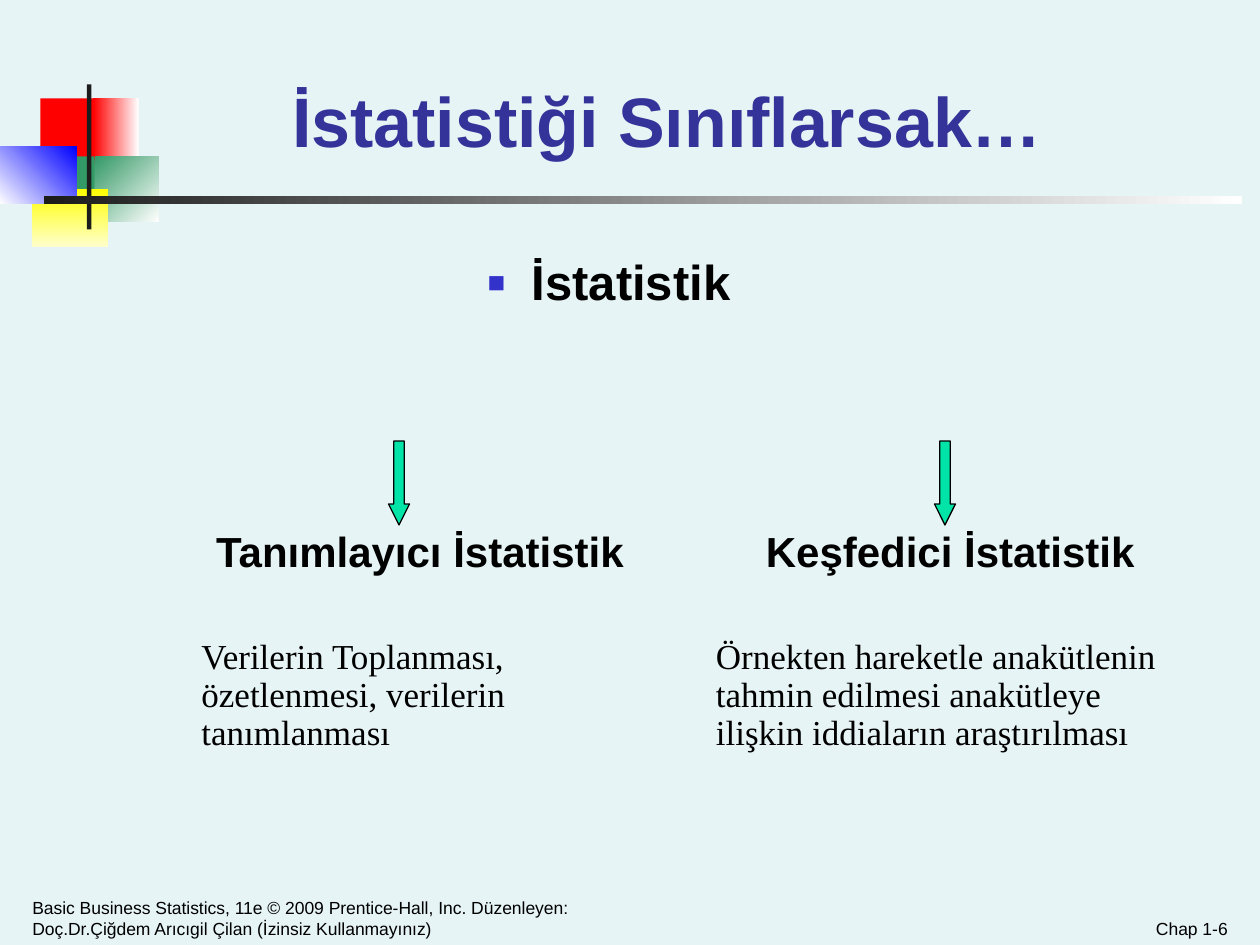
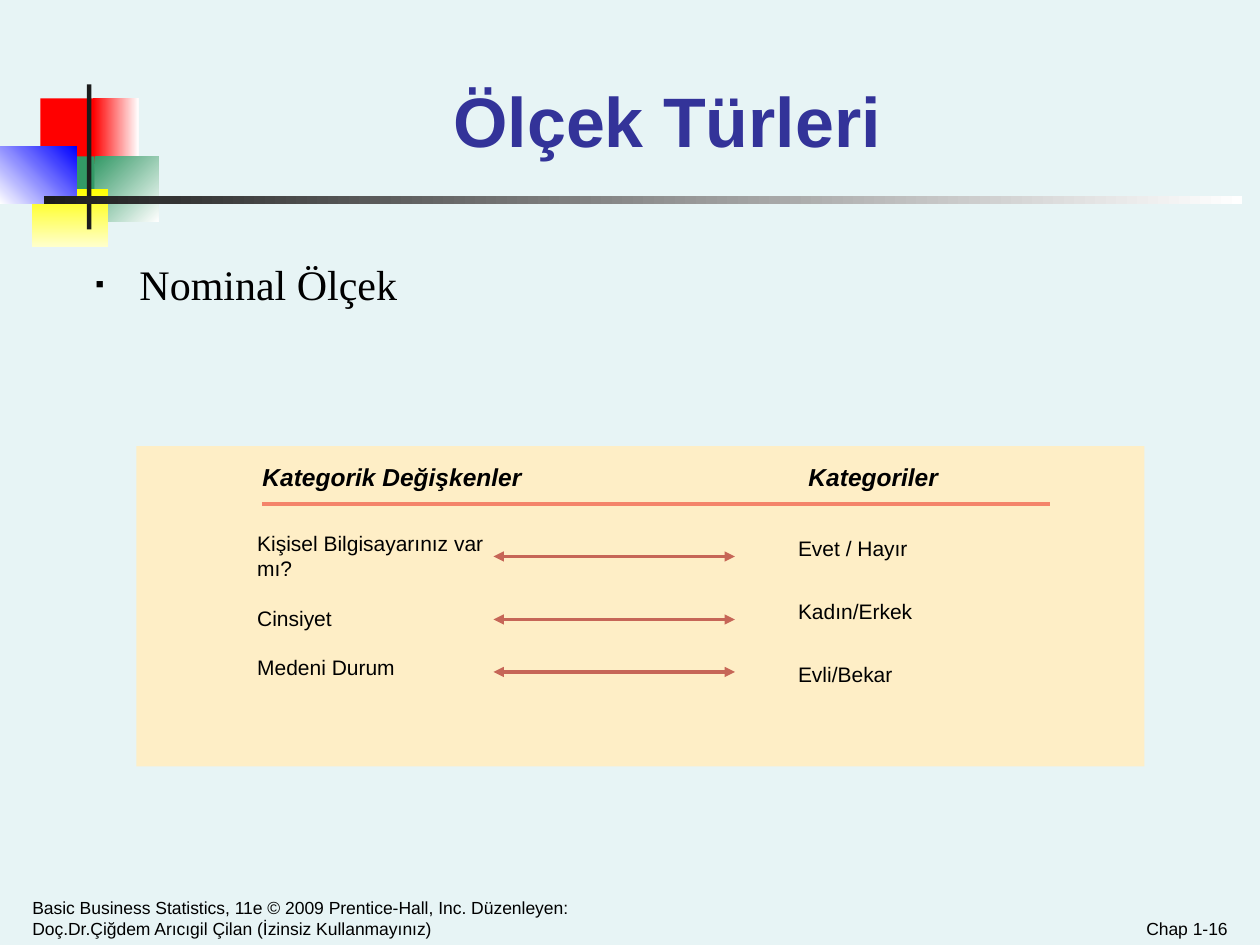
from lxml.etree import SubElement
from pptx import Presentation
from pptx.dml.color import RGBColor
from pptx.enum.dml import MSO_FILL
from pptx.enum.shapes import MSO_CONNECTOR, MSO_SHAPE
from pptx.enum.text import MSO_ANCHOR, MSO_AUTO_SIZE, PP_ALIGN
from pptx.oxml.ns import qn
from pptx.util import Inches, Pt

# Grid: 120 columns by 90 rows of square cells; a box is left, top, width, height
COLUMNS, ROWS = 120, 90
CELL = Inches(10) / COLUMNS

SANS, SERIF = "Arial", "Times New Roman"
BACKGROUND, BLACK, CHARCOAL, WHITE = "E7F4F5", "000000", "1C1C1C", "FFFFFF"
TITLE_COLOR, BULLET_BLUE, ARROW_GREEN = "333399", "3333CC", "00E4A8"
PANEL_COLOR, RULE_COLOR, LINK_COLOR = "FEEEC6", "F4846A", "C66657"

TITLE_BOX = (15.12, 3, 96.84, 12.96)
FOOTER_BOX = (2, 85.8, 61, 4.2)
NUMBER_BOX = (90, 85.8, 28, 4.2)
FOOTER = ("Basic Business Statistics, 11e © 2009 Prentice-Hall, Inc. Düzenleyen: "
          "Doç.Dr.Çiğdem Arıcıgil Çilan (İzinsiz Kullanmayınız)")

# Corner ornament: box, colours (two make a gradient), counterclockwise angle
ORNAMENT = [
    ((3.84, 9.36, 5.76, 6.24), ["FF0000"], 0),
    ((8.88, 9.36, 4.32, 6.24), ["FF0000", WHITE], 0),
    ((9, 14.88, 6.12, 6.24), ["339966", WHITE], 315),
    ((5.16, 14.88, 3.84, 6.24), ["339966"], 0),
    ((3, 18, 7.32, 5.52), ["FFFF00", "FFFFCC"], 270),
    ((0, 13.92, 7.32, 5.52), [WHITE, "0000FF"], 45),
    ((8.28, 8.04, 0.42, 13.8), [CHARCOAL], 0),
    ((4.2, 18.72, 114.12, 0.72), [CHARCOAL, WHITE], 0),
]


def color(hex_string):
    return RGBColor.from_string(hex_string)


def cells(values):
    return [round(value * CELL) for value in values]


def within(box, left, top, width, height):
    """Box placed by offsets from the corner of an outer box."""
    return box[0] + left, box[1] + top, width, height


def add_block(shapes, box, colors, angle=0, kind=MSO_SHAPE.RECTANGLE):
    shape = shapes.add_shape(kind, *cells(box))
    shape.shadow.inherit = False
    shape.line.fill.background()
    if len(colors) == 1:
        shape.fill.solid()
        shape.fill.fore_color.rgb = color(colors[0])
    else:
        shape.fill.gradient()
        shape.fill.gradient_angle = angle
        for stop, hex_string in zip(shape.fill.gradient_stops, colors):
            stop.color.rgb = color(hex_string)
    return shape


def add_line(slide, start, end, hex_string, arrows=False):
    line = slide.shapes.add_connector(MSO_CONNECTOR.STRAIGHT, *cells(start + end))
    line.line.color.rgb = color(hex_string)
    line.line.width = Pt(1.9)
    if arrows:
        for end_name in ("a:headEnd", "a:tailEnd"):
            SubElement(line.line._get_or_add_ln(), qn(end_name), type="triangle")
    SubElement(line.element.spPr, qn("a:effectLst"))


def style(paragraph, size, font=SANS, bold=False, italic=False,
          hex_string=BLACK, align=PP_ALIGN.LEFT, before=0, spacing=None):
    paragraph.alignment = align
    paragraph.space_before = Pt(before)
    paragraph.line_spacing = spacing
    paragraph.font.name = font
    paragraph.font.size = Pt(size)
    paragraph.font.bold = bold
    paragraph.font.italic = italic
    paragraph.font.color.rgb = color(hex_string)


def write(shape, lines, anchor=MSO_ANCHOR.TOP, inset=(0.09, 0.05)):
    """Fill a shape with lines and return its paragraphs."""
    frame = shape.text_frame
    frame.text = "\n".join(lines)
    frame.word_wrap = True
    frame.auto_size = MSO_AUTO_SIZE.NONE
    frame.vertical_anchor = anchor
    frame.margin_left = frame.margin_right = Inches(inset[0])
    frame.margin_top = frame.margin_bottom = Inches(inset[1])
    return frame.paragraphs


def add_bullet(paragraph, character, hex_string):
    properties = paragraph._p.get_or_add_pPr()
    properties.set("marL", str(Inches(0.35)))
    properties.set("indent", str(-Inches(0.35)))
    bullet_color = SubElement(properties, qn("a:buClr"))
    SubElement(bullet_color, qn("a:srgbClr"), val=hex_string)
    SubElement(properties, qn("a:buSzPct"), val="60000")
    SubElement(properties, qn("a:buFont"), typeface=SANS)
    SubElement(properties, qn("a:buChar"), char=character)


def add_tab(paragraph, columns):
    tabs = SubElement(paragraph._p.get_or_add_pPr(), qn("a:tabLst"))
    SubElement(tabs, qn("a:tab"), pos=str(round(columns * CELL)), algn="l")


def place(shape, box):
    shape.left, shape.top, shape.width, shape.height = cells(box)


def decorate_master(presentation, slide):
    """Build the ornament on a slide, then move it behind the master."""
    master = presentation.slide_master
    master.background.fill.solid()
    master.background.fill.fore_color.rgb = color(BACKGROUND)
    group = slide.shapes.add_group_shape()
    for box, colors, angle in ORNAMENT:
        add_block(group.shapes, box, colors, angle)
    for number, properties in enumerate(group.element.iter(qn("p:cNvPr")), 100):
        properties.set("id", str(number))
    master.shapes.element.insert(2, group.element)


def add_footer(slide, box, text, align):
    footer = slide.shapes.add_textbox(*cells(box))
    style(write(footer, [text], MSO_ANCHOR.BOTTOM)[0], 10, align=align)


def start_slide(presentation, title, number):
    """Slide with title and footers; returns it with its body placeholder."""
    slide = presentation.slides.add_slide(presentation.slide_layouts[1])
    heading, body = slide.placeholders
    place(heading, TITLE_BOX)
    style(write(heading, [title], MSO_ANCHOR.BOTTOM)[0], 40, bold=True,
          hex_string=TITLE_COLOR, align=PP_ALIGN.CENTER)
    add_footer(slide, FOOTER_BOX, FOOTER, PP_ALIGN.LEFT)
    add_footer(slide, NUMBER_BOX, f"Chap 1-{number}", PP_ALIGN.RIGHT)
    return slide, body


def add_branch(slide, box, arrow_left, heading, description):
    """Down arrow above a heading and its description."""
    arrow = add_block(slide.shapes, within(box, arrow_left, 0, 2, 8),
                      [ARROW_GREEN], kind=MSO_SHAPE.DOWN_ARROW)
    arrow.adjustments[1] = 1.0
    arrow.line.color.rgb = color(BLACK)
    arrow.line.width = Pt(0.75)
    label = slide.shapes.add_textbox(*cells(within(box, 0, 8, box[2], box[3] - 8)))
    first, second = write(label, [heading, description], inset=(0.1, 0.05))
    style(first, 24, bold=True, align=PP_ALIGN.CENTER, spacing=0.9)
    style(second, 20, SERIF, before=36, spacing=0.9)


def add_category_panel(slide, box, headers, variables, categories):
    """Variables on the left, linked by arrows to categories on the right."""
    add_block(slide.shapes, box, [PANEL_COLOR])

    def add_label(label_box, lines):
        label = add_block(slide.shapes, within(box, *label_box), [PANEL_COLOR])
        return write(label, lines, inset=(0, 0))

    # Header row
    header = add_label((12, 1.5, 78, 8), ["\t".join(headers)])[0]
    add_tab(header, 52)
    style(header, 14, bold=True, italic=True)

    # Variables and categories
    for index, paragraph in enumerate(add_label((11.5, 8, 25, 18.5), variables)):
        style(paragraph, 12, before=14 if index else 0)
    for index, category in enumerate(categories):
        style(add_label((63, 8.5 + 6 * index, 22, 3), [category])[0], 12)

    # Header rule and links
    left, top = box[:2]
    add_line(slide, (left + 12, top + 5.5), (left + 87, top + 5.5), RULE_COLOR)
    for row in (10.5, 16.5, 21.5):
        add_line(slide, (left + 34, top + row), (left + 57, top + row),
                 LINK_COLOR, arrows=True)


def build_branches_slide(presentation):
    slide, body = start_slide(presentation, "İstatistiği Sınıflarsak…", 6)
    place(body, (8, 24, 100, 17.5))
    topic = write(body, ["İstatistik"])[0]
    add_bullet(topic, "■", BULLET_BLUE)
    style(topic, 28, bold=True, align=PP_ALIGN.CENTER, spacing=0.9)
    add_branch(slide, (18, 42, 44, 31), 19, "Tanımlayıcı İstatistik",
               "Verilerin Toplanması, özetlenmesi, verilerin tanımlanması")
    add_branch(slide, (67, 42, 47, 31), 22, "Keşfedici İstatistik",
               "Örnekten hareketle anakütlenin tahmin edilmesi anakütleye "
               "ilişkin iddiaların araştırılması")
    return slide


def build_scales_slide(presentation):
    slide, body = start_slide(presentation, "Ölçek Türleri", 16)
    place(body, (8, 24, 106, 14))
    topic = write(body, ["Nominal Ölçek"])[0]
    add_bullet(topic, "▪", BLACK)
    style(topic, 24, SERIF)
    add_category_panel(
        slide, (13, 42.5, 96, 30.5),
        ["Kategorik Değişkenler", "Kategoriler"],
        ["Kişisel Bilgisayarınız var mı?", "Cinsiyet", "Medeni Durum"],
        ["Evet / Hayır", "Kadın/Erkek", "Evli/Bekar"])


def main():
    presentation = Presentation()
    presentation.slide_width = round(COLUMNS * CELL)
    presentation.slide_height = round(ROWS * CELL)
    first_slide = build_branches_slide(presentation)
    decorate_master(presentation, first_slide)
    build_scales_slide(presentation)
    presentation.save("out.pptx")


if __name__ == "__main__":
    main()
